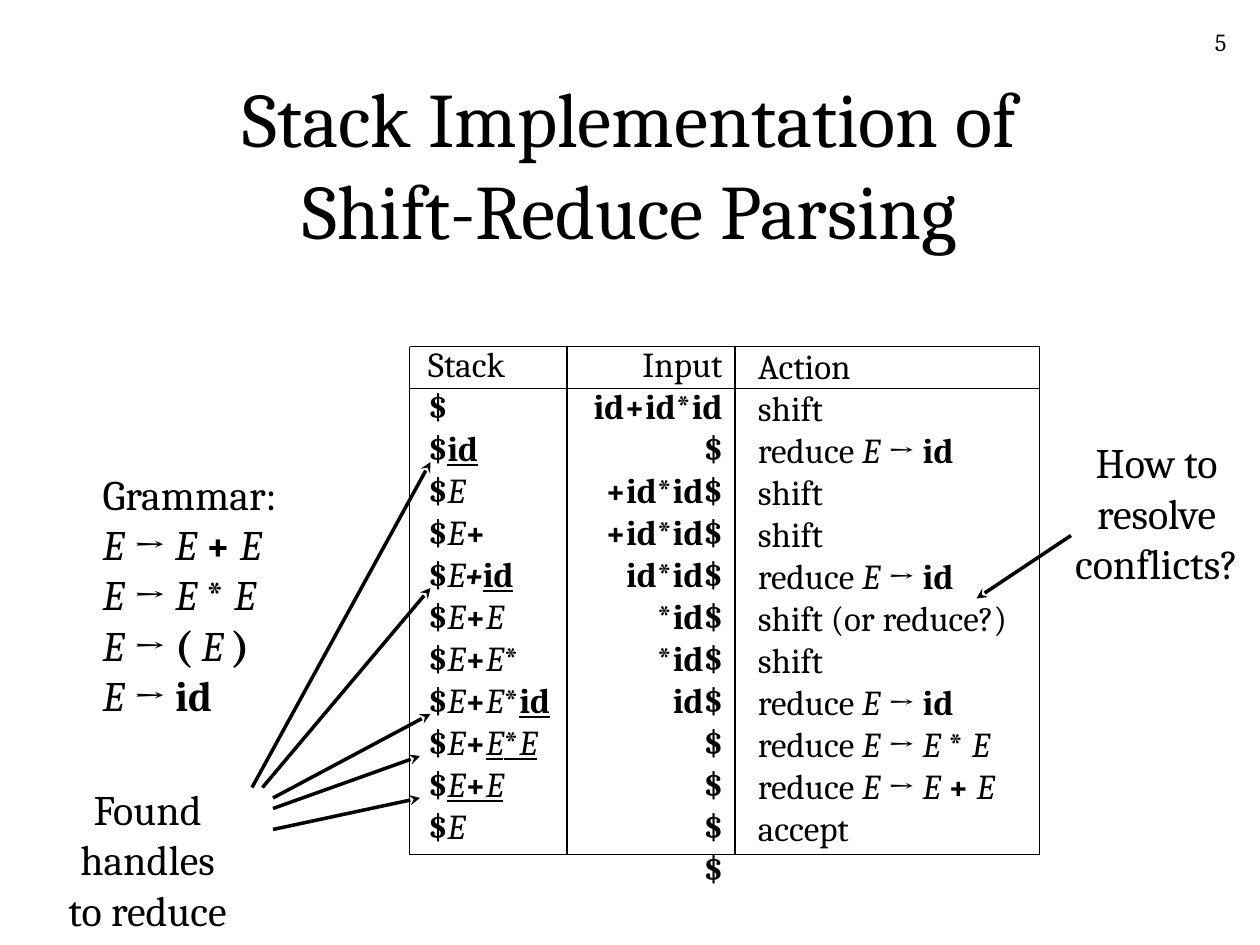
"""Build a slide that traces the stack of a shift-reduce parser."""
from dataclasses import dataclass

from lxml.etree import SubElement
from pptx import Presentation as Deck
from pptx.dml.color import RGBColor as Color
from pptx.enum.text import MSO_ANCHOR as Anchor, MSO_AUTO_SIZE as Fit, PP_ALIGN as Align
from pptx.oxml.ns import qn
from pptx.util import Inches, Length, Pt


@dataclass(frozen=True)
class Theme:
    font: str = "Cambria"
    ink: Color = Color(0, 0, 0)
    paper: Color = Color(255, 255, 255)
    title: int = 44
    note: int = 24
    cell: int = 20
    page: int = 14
    rule: float = 0.75
    arrow: float = 2


@dataclass(frozen=True)
class Block:
    col: float
    row: float
    cols: float
    rows: float
    size: int
    paras: tuple[str, ...]
    align: Align = Align.LEFT
    middle: bool = False


@dataclass(frozen=True)
class Line:
    start: tuple[float, float]
    end: tuple[float, float]
    arrow: bool = False


THEME = Theme()
WIDE, HIGH = Inches(10), Inches(7.5)
COLS, ROWS = 120, 90
MARKS = {"^": "bold", "~": "italic", "_": "underline"}

TO_ID = "reduce ~E~ → ^id^"
STACK = "\n".join((
    "^$^~E~",
    "^$^~E~^+^",
    "^$^~E^+^~^_id_^",
    "^$^~E~^+^~E~",
    "^$^~E~^+^~E~^*^",
    "^$^~E~^+^~E~^*_id_^",
    "^$^~E~^+^_~E~^*^~E~_",
    "^$^_~E~^+^~E~_",
    "^$^~E~",
))
INPUT = "\n".join((
    "id+id*id$", "+id*id$", "+id*id$", "id*id$", "*id$", "*id$", "id$",
    "$", "$", "$", "$",
))
ACTION = "\n".join((
    "Action", "shift", TO_ID, "shift", "shift", TO_ID, "shift (or reduce?)",
    "shift", TO_ID, "reduce ~E~ → ~E ~^* ^~E~", "reduce ~E~ → ~E ~^+ ^~E~",
    "accept",
))
GRAMMAR = "\n".join((
    "Grammar:",
    "~E~ → ~E ~^+ ^~E~",
    "~E ~→ ~E ~^* ^~E~",
    "~E~ → ^( ^~E ~^)^",
    "~E~ → ^id^",
))

BLOCKS = (
    Block(93, 2, 25, 6, THEME.page, ("5",), Align.RIGHT),
    Block(9, 8, 102, 15, THEME.title,
          ("Stack Implementation of\nShift-Reduce Parsing",), Align.CENTER, True),
    Block(39.6, 32, 14.5, 49.2, THEME.cell, ("Stack", "^$\n$_id_^", STACK)),
    Block(54, 32, 16, 49.2, THEME.cell, ("Input", f"^{INPUT}^"), Align.RIGHT),
    Block(71, 32.2, 26.8, 49.2, THEME.cell, (ACTION,)),
    Block(8.6, 44, 19.9, 25.2, THEME.note, (GRAMMAR,)),
    Block(1, 74, 26.1, 10.9, THEME.note, ("Found handles\nto reduce",), Align.CENTER),
    Block(101.2, 41, 17.9, 15.6, THEME.note,
          ("How to\nresolve\nconflicts?",), Align.CENTER),
)

LEFT, RIGHT, TOP, BASE = 39, 99, 33, 81.4
RULES = (
    *(Line((col, TOP), (col, BASE)) for col in (LEFT, 54, 70, RIGHT)),
    *(Line((LEFT, row), (RIGHT, row)) for row in (TOP, 37, BASE)),
)
ARROWS = tuple(Line(start, end, True) for start, end in (
    ((26, 79), (40, 76)),
    ((24, 75), (41, 44)),
    ((102, 51), (93, 57)),
    ((26, 77), (40, 72)),
    ((26, 76), (41, 68)),
    ((25, 75), (41, 56)),
))


def across(col: float) -> Length:
    return Length(round(WIDE * col / COLS))


def down(row: float) -> Length:
    return Length(round(HIGH * row / ROWS))


def add_run(para, text: str, size: int, style: set[str]) -> None:
    if not text:
        return
    run = para.add_run()
    run.text = text
    run.font.name, run.font.size = THEME.font, Pt(size)
    run.font.color.rgb = THEME.ink
    for name in style:
        setattr(run.font, name, True)


def add_runs(para, text: str, size: int) -> None:
    style, part = set(), ""
    for char in text:
        if char not in MARKS and char != "\n":
            part += char
            continue
        add_run(para, part, size, style)
        part = ""
        if char == "\n":
            para.add_line_break()
        else:
            style ^= {MARKS[char]}
    add_run(para, part, size, style)


def add_block(slide, block: Block) -> None:
    box = slide.shapes.add_textbox(
        across(block.col), down(block.row), across(block.cols), down(block.rows))
    frame = box.text_frame
    frame.word_wrap = True
    frame.auto_size = Fit.NONE if block.middle else Fit.SHAPE_TO_FIT_TEXT
    frame.vertical_anchor = Anchor.MIDDLE if block.middle else Anchor.TOP
    for num, text in enumerate(block.paras):
        para = frame.add_paragraph() if num else frame.paragraphs[0]
        para.alignment = block.align
        add_runs(para, text, block.size)


def add_line(slide, line: Line) -> None:
    (col, row), (to_col, to_row) = line.start, line.end
    link = slide.shapes.add_connector(
        1, across(col), down(row), across(to_col), down(to_row))
    link.line.color.rgb = THEME.ink
    link.line.width = Pt(THEME.arrow if line.arrow else THEME.rule)
    if line.arrow:
        SubElement(link.line._get_or_add_ln(), qn("a:tailEnd"), type="stealth")
    SubElement(link._element.spPr, qn("a:effectLst"))


def main() -> None:
    deck = Deck()
    deck.slide_width, deck.slide_height = WIDE, HIGH
    slide = deck.slides.add_slide(deck.slide_layouts[6])
    fill = slide.background.fill
    fill.solid()
    fill.fore_color.rgb = THEME.paper
    for block in BLOCKS:
        add_block(slide, block)
    for line in RULES + ARROWS:
        add_line(slide, line)
    deck.save("out.pptx")


if __name__ == "__main__":
    main()
